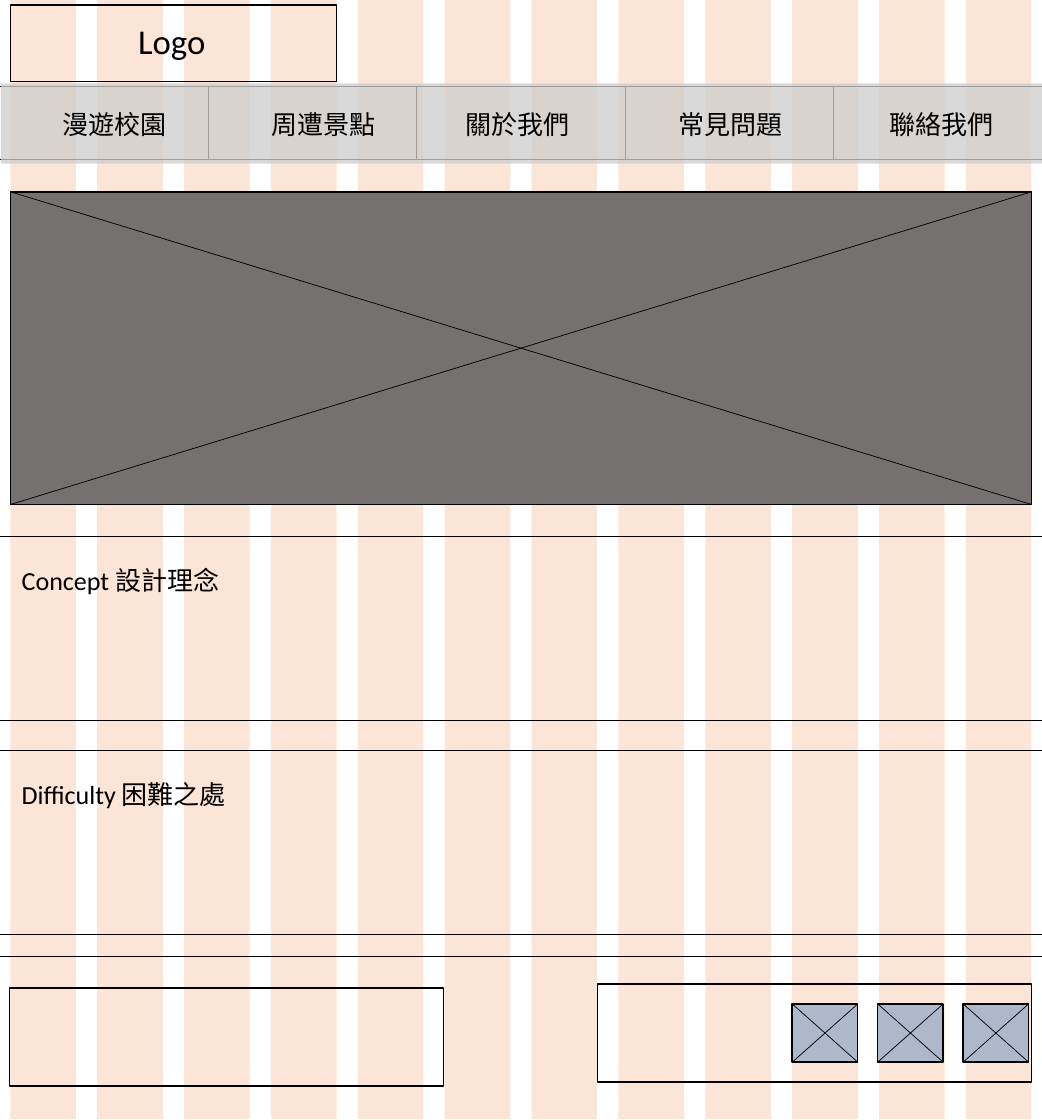
from lxml.etree import SubElement
from pptx import Presentation
from pptx.dml.color import RGBColor
from pptx.enum.shapes import MSO_CONNECTOR as Connector, MSO_SHAPE as Preset
from pptx.enum.text import MSO_AUTO_SIZE as AutoSize
from pptx.oxml.ns import qn
from pptx.util import Cm, Inches, Pt

SLIDE_WIDTH, SLIDE_HEIGHT = Cm(25.4), Cm(27.29)
WIDTH, HEIGHT = SLIDE_WIDTH.inches, SLIDE_HEIGHT.inches
MARGIN = 0.1
COLUMNS = 12
COLUMN_WIDTH = 0.63
CONTENT_WIDTH = WIDTH - 2 * MARGIN
PITCH = (CONTENT_WIDTH - COLUMN_WIDTH) / (COLUMNS - 1)
BLACK, PEACH, GREY, SILVER, STEEL = "000000", "FBE5D6", "767171", "D0CECE", "ADB9CA"
LATIN, CHINESE = "Calibri", "Noto Sans CJK SC"


def column_left(index):
    return MARGIN + index * PITCH


def span(count):
    return (count - 1) * PITCH + COLUMN_WIDTH


def paint(color_format, color):
    color_format.rgb = RGBColor.from_string(color)


def add_box(shapes, box, fill=None, outlined=False, alpha=None):
    shape = shapes.add_shape(Preset.RECTANGLE, *map(Inches, box))
    shape.shadow.inherit = False
    if fill:
        shape.fill.solid()
        paint(shape.fill.fore_color, fill)
    else:
        shape.fill.background()
    if alpha:
        color = shape._element.spPr.find(qn("a:solidFill"))[0]
        SubElement(color, qn("a:alpha")).set("val", str(alpha * 1000))
    if outlined:
        paint(shape.line.color, BLACK)
        shape.line.width = Pt(1)
    else:
        shape.line.fill.background()


def add_line(shapes, start, end):
    line = shapes.add_connector(Connector.STRAIGHT, *map(Inches, (*start, *end)))
    paint(line.line.color, BLACK)
    line.line.width = Pt(0.5)
    SubElement(line._element.spPr, qn("a:effectLst"))


def add_rule(shapes, top):
    add_line(shapes, (0, top), (WIDTH, top))


def add_label(shapes, box, text, size=18, font=LATIN, wrap=False):
    label = shapes.add_textbox(*map(Inches, box))
    frame = label.text_frame
    frame.word_wrap = wrap
    frame.auto_size = AutoSize.SHAPE_TO_FIT_TEXT
    frame.text = text
    run_font = frame.paragraphs[0].runs[0].font
    run_font.name = font
    run_font.size = Pt(size)
    paint(run_font.color, BLACK)


def add_image_placeholder(shapes, box, fill):
    left, top, width, height = box
    right, bottom = left + width, top + height
    group = shapes.add_group_shape()
    add_box(group.shapes, box, fill, outlined=True)
    add_line(group.shapes, (right, top), (left, bottom))
    add_line(group.shapes, (left, top), (right, bottom))


def add_column_grid(shapes, top, height):
    for index in range(COLUMNS):
        add_box(shapes, (column_left(index), top, COLUMN_WIDTH, height), PEACH)


def add_header(shapes, box):
    left, top, width, height = box
    add_box(shapes, box, outlined=True)
    add_label(shapes, (left + 0.36 * width, top + 0.09, 0.85, 0.5), "Logo", size=24)


def add_navigation(shapes, box, items):
    left, top, width, height = box
    bottom = top + height
    cell = width / len(items)
    for edge in (top, bottom):
        add_rule(shapes, edge)
    for index in range(1, len(items)):
        divider = left + index * cell
        add_line(shapes, (divider, top), (divider, bottom))
    add_box(shapes, (left + 0.01, top - 0.03, width, height + 0.07), SILVER, alpha=77)
    for index, (text, indent, font) in enumerate(items):
        add_label(shapes, (left + index * cell + indent, top + 0.16, 1.21, 0.4), text, font=font)


def add_section(shapes, box, title, title_width):
    left, top, width, height = box
    add_rule(shapes, top)
    add_rule(shapes, top + height)
    add_label(shapes, (left + 0.11, top + 0.22, title_width, 0.4), title, wrap=True)


def add_footer(shapes, box):
    left, top, width, height = box
    panel_width, panel_height = 5 * PITCH, 0.94
    panel_left = left + width - MARGIN - panel_width
    add_rule(shapes, top)
    add_box(shapes, (left + 0.09, top + 0.31, panel_width, panel_height), outlined=True)
    add_box(shapes, (panel_left, top + 0.27, panel_width, panel_height), outlined=True)
    for index in range(3):
        icon_left = column_left(9) + index * 0.82
        add_image_placeholder(shapes, (icon_left, top + 0.46, COLUMN_WIDTH, 0.56), STEEL)


presentation = Presentation()
presentation.slide_width, presentation.slide_height = SLIDE_WIDTH, SLIDE_HEIGHT
slide = presentation.slides.add_slide(presentation.slide_layouts[6])
shapes = slide.shapes

navigation_items = [
    ("漫遊校園", 0.5, CHINESE),
    ("周遭景點", 0.51, CHINESE),
    ("關於我們", 0.37, LATIN),
    ("常見問題", 0.41, LATIN),
    ("聯絡我們", 0.44, LATIN),
]
add_column_grid(shapes, -0.01, HEIGHT)
add_header(shapes, (MARGIN, 0.05, span(4), 0.73))
add_navigation(shapes, (0, 0.83, WIDTH, 0.7), navigation_items)
add_image_placeholder(shapes, (MARGIN, 1.84, CONTENT_WIDTH, 3), GREY)
add_section(shapes, (0, 5.15, WIDTH, 1.76), "Concept 設計理念", 2.12)
add_section(shapes, (0, 7.2, WIDTH, 1.76), "Difficulty 困難之處", 2.19)
add_footer(shapes, (0, 9.17, WIDTH, HEIGHT - 9.17))
presentation.save("out.pptx")
